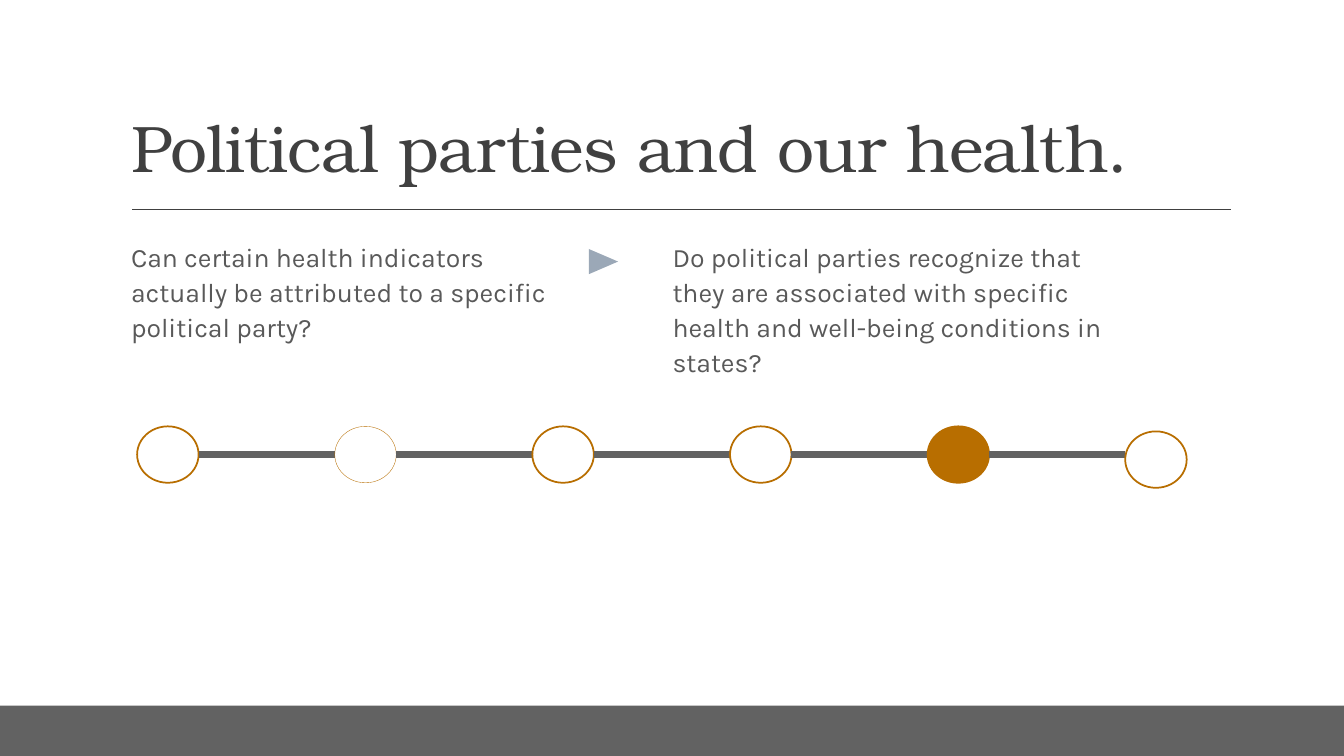
from pptx import Presentation
from pptx.dml.color import RGBColor
from pptx.enum.shapes import MSO_CONNECTOR, MSO_SHAPE
from pptx.enum.text import MSO_ANCHOR, MSO_AUTO_SIZE, PP_ALIGN
from pptx.oxml.ns import qn
from pptx.util import Inches, Pt

STRAIGHT = MSO_CONNECTOR.STRAIGHT
RECTANGLE, OVAL, TRIANGLE = MSO_SHAPE.RECTANGLE, MSO_SHAPE.OVAL, MSO_SHAPE.ISOSCELES_TRIANGLE
TOP, BOTTOM = MSO_ANCHOR.TOP, MSO_ANCHOR.BOTTOM
NO_AUTOFIT, LEFT = MSO_AUTO_SIZE.NONE, PP_ALIGN.LEFT

INK = RGBColor(0x40, 0x40, 0x40)
BODY_GRAY = RGBColor(0x59, 0x59, 0x59)
BAND_GRAY = RGBColor(0x62, 0x62, 0x62)
AMBER = RGBColor(0xB8, 0x6E, 0x00)
ARROW_BLUE = RGBColor(0x9B, 0xA8, 0xB7)

TITLE = "Political parties and our health."
QUESTIONS = (
    "Can certain health indicators actually be attributed to a specific political party?",
    "Do political parties recognize that they are associated with specific health and "
    "well-being conditions in states?",
)


def place(shape, left, top, width, height):
    """Move a shape into a box given in inches."""
    shape.left, shape.top = Inches(left), Inches(top)
    shape.width, shape.height = Inches(width), Inches(height)


def write(shape, text, *, font, size, color, anchor, spacing, inset=0.1, after=0, indent=0, tracking=0):
    """Fill a placeholder with one formatted, unbulleted paragraph."""
    frame = shape.text_frame
    frame.word_wrap, frame.auto_size, frame.vertical_anchor = True, NO_AUTOFIT, anchor
    frame.margin_left = frame.margin_right = Inches(inset)
    frame.margin_top = frame.margin_bottom = Inches(0.05)
    para = frame.paragraphs[0]
    properties = para._p.get_or_add_pPr()
    properties.set("marL", str(Inches(indent)))
    properties.set("indent", "0")
    para.alignment, para.line_spacing = LEFT, spacing
    para.space_before, para.space_after = Pt(0), Pt(after)
    properties.append(properties.makeelement(qn("a:buNone"), {}))
    span = para.add_run()
    span.text = text
    span.font.name, span.font.size, span.font.color.rgb = font, Pt(size), color
    if tracking:
        span._r.get_or_add_rPr().set("spc", str(round(tracking * 100)))


def add_figure(page, kind, box, fill=None, outline=None, weight=1.25):
    """Add a flat preset shape."""
    shape = page.shapes.add_shape(kind, *map(Inches, box))
    shape.shadow.inherit = False
    if fill is None:
        shape.fill.background()
    else:
        shape.fill.solid()
        shape.fill.fore_color.rgb = fill
    if outline is None:
        shape.line.fill.background()
    else:
        shape.line.color.rgb, shape.line.width = outline, Pt(weight)
    return shape


def add_rule(page, left, right, level, color, weight):
    """Add a flat horizontal line."""
    rule = page.shapes.add_connector(STRAIGHT, Inches(left), Inches(level), Inches(right), Inches(level))
    rule.line.color.rgb, rule.line.width = color, Pt(weight)
    properties = rule._element.spPr
    properties.append(properties.makeelement(qn("a:effectLst"), {}))


def add_heading(page, left, top, width, height):
    """Place the title and the rule beneath it."""
    place(page.shapes.title, left, top, width, height)
    write(page.shapes.title, TITLE, font="TeX Gyre Bonum", size=47, color=INK,
          anchor=BOTTOM, spacing=0.9, tracking=-0.5)
    add_rule(page, left + 0.11, left + width + 0.01, top + height + 0.18, INK, 1)


def add_questions(page, left, top, width, height):
    """Place the two questions with an arrowhead between them."""
    step = 5.37
    for index, question in enumerate(QUESTIONS):
        body = page.placeholders[index + 1]
        place(body, left + index * step, top, width, height)
        write(body, question, font="Karla", size=19, color=BODY_GRAY, anchor=TOP,
              spacing=1.1, inset=0, after=2, indent=0.1)
    arrow = add_figure(page, TRIANGLE, (left + 4.66, top + 0.14, 0.25, 0.29), fill=ARROW_BLUE)
    arrow.rotation = 90


def add_timeline(page, left, top, width, height, count=6, current=4, faint=1):
    """Place linked circles, with the current step filled."""
    diameter = 0.61
    step = (width - diameter) / (count - 1)
    for index in range(count):
        start = left + index * step
        drop = 0.05 if index == count - 1 else 0
        add_figure(page, OVAL, (start, top + drop, diameter, height),
                   fill=AMBER if index == current else None,
                   outline=AMBER, weight=0.25 if index == faint else 1.25)
        if index < count - 1:
            add_rule(page, start + diameter, start + step, top + height / 2, BAND_GRAY, 4.5)


def main():
    """Build and save the deck."""
    deck = Presentation()
    deck.slide_width, deck.slide_height = Inches(13.33), Inches(7.5)
    page = deck.slides.add_slide(deck.slide_layouts[3])
    add_figure(page, RECTANGLE, (0, 7, 13.33, 0.5), fill=BAND_GRAY)
    add_heading(page, 1.2, 0.31, 11, 1.59)
    add_questions(page, 1.2, 2.31, 4.42, 1.74)
    add_timeline(page, 1.36, 4.23, 10.41, 0.56)
    deck.save("out.pptx")


if __name__ == "__main__":
    main()
